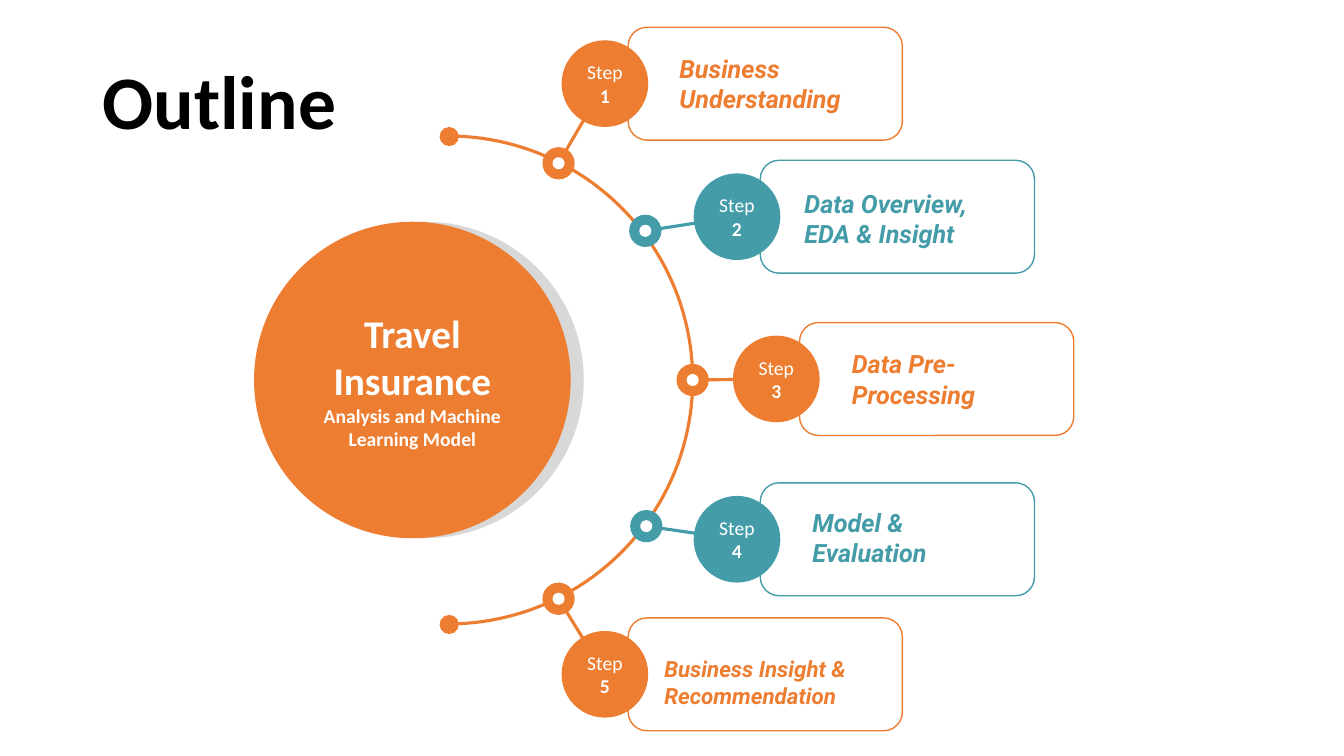
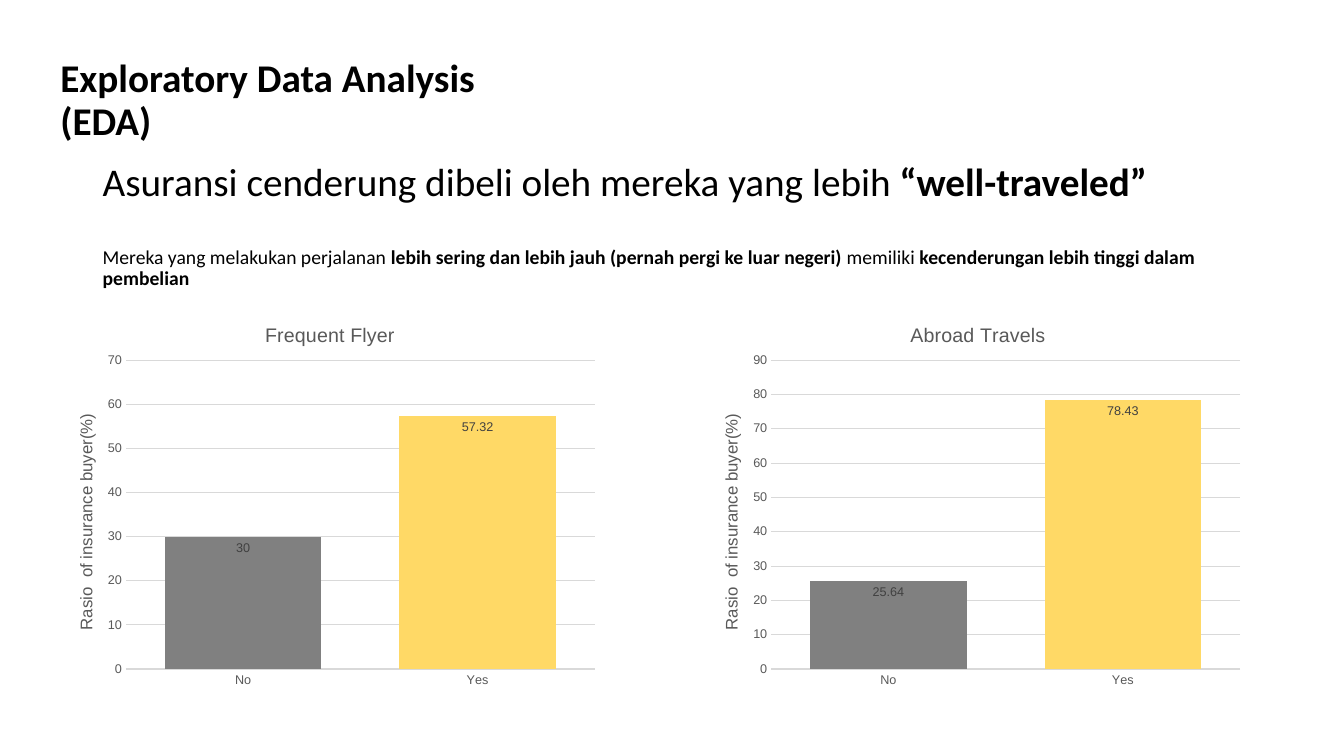
"""Build the outline slide and the exploratory data analysis slide."""
import math

from lxml import etree
from pptx import Presentation
from pptx.chart import data as chart_data
from pptx.dml import color
from pptx.enum import chart as ch, shapes, text
from pptx.oxml import ns
from pptx.util import Inches, Pt

ORANGE, TEAL, WHITE, BLACK = "ED7D31", "449CA8", "FFFFFF", "000000"
SHADE, GRID, LABEL, VALUE = "D8D8D8", "D9D9D9", "595959", "404040"
BAR_COLOURS = ["808080", "FFD966"]
ELLIPSE, ROUNDED = shapes.MSO_SHAPE.OVAL, shapes.MSO_SHAPE.ROUNDED_RECTANGLE
MIDDLE, TOP = text.MSO_ANCHOR.MIDDLE, text.MSO_ANCHOR.TOP
LEFT, CENTER = text.PP_ALIGN.LEFT, text.PP_ALIGN.CENTER
rgb = color.RGBColor.from_string


def add_figure(slide, kind, x, y, w, h, fill=None, line=None):
    figure = slide.shapes.add_shape(kind, Inches(x), Inches(y), Inches(w), Inches(h))
    figure.shadow.inherit = False
    if fill:
        figure.fill.solid()
        figure.fill.fore_color.rgb = rgb(fill)
    else:
        figure.fill.background()
    if line:
        figure.line.color.rgb = rgb(line)
        figure.line.width = Pt(1)
    else:
        figure.line.fill.background()
    return figure


def write(frame, paragraphs, colour, font="Calibri", italic=False,
          align=LEFT, anchor=MIDDLE, spacing=1.0):
    frame.word_wrap = True
    frame.vertical_anchor = anchor
    for index, pieces in enumerate(paragraphs):
        paragraph = frame.add_paragraph() if index else frame.paragraphs[0]
        paragraph.alignment = align
        paragraph.line_spacing = spacing
        for wording, size, bold in pieces:
            run = paragraph.add_run()
            run.text = wording
            run.font.name = font
            run.font.size = Pt(size)
            run.font.bold = bold
            run.font.italic = italic
            run.font.color.rgb = rgb(colour)


deck = Presentation()
deck.slide_width, deck.slide_height = Inches(13.33), Inches(7.5)
outline, analysis = [deck.slides.add_slide(deck.slide_layouts[6]) for _ in range(2)]

add_figure(outline, ELLIPSE, 2.65, 2.2, 3.14, 3.14, SHADE)
topic = add_figure(outline, ELLIPSE, 2.52, 2.2, 3.14, 3.14, ORANGE)
write(topic.text_frame,
      [[("Travel Insurance", 28, True)],
       [("Analysis and Machine Learning Model", 14, True)]],
      WHITE, align=CENTER)

arc_x, arc_y, radius = 4.45, 3.77, 2.42
arc_points = [(Inches(arc_x + radius * math.cos(math.radians(angle))),
               Inches(arc_y + radius * math.sin(math.radians(angle))))
              for angle in range(-90, 91, 2)]
pen = outline.shapes.build_freeform(*arc_points[0])
pen.add_line_segments(arc_points[1:], close=False)
arc = pen.convert_to_shape()
arc.shadow.inherit = False
arc.fill.background()
arc.line.color.rgb = rgb(ORANGE)
arc.line.width = Pt(2.25)
for end_y in (arc_y - radius, arc_y + radius):
    add_figure(outline, ELLIPSE, 4.36, end_y - 0.09, 0.19, 0.19, ORANGE)

steps = [
    ("Business Understanding", 18, ORANGE, (6.23, 0.27), (5.54, 1.62), (6.64, 0.48, 2.16)),
    ("Data Overview, EDA & Insight", 18, TEAL, (7.54, 1.59), (6.4, 2.29), (7.88, 1.82, 2.23)),
    ("Data Pre-Processing", 18, ORANGE, (7.93, 3.2), (6.87, 3.77), (8.35, 3.41, 1.84)),
    ("Model & Evaluation", 18, TEAL, (7.54, 4.79), (6.41, 5.22), (7.96, 4.98, 1.84)),
    ("Business Insight & Recommendation", 16, ORANGE, (6.23, 6.13), (5.54, 5.94),
     (6.49, 6.45, 2.28)),
]
badge_size = 0.86
for number, (name, size, colour, box, node, label) in enumerate(steps, 1):
    badge_x, badge_y = box[0] - 0.66, box[1] + 0.13
    add_figure(outline, ROUNDED, *box, 2.72, 1.12, line=colour)
    link = outline.shapes.add_connector(
        shapes.MSO_CONNECTOR.STRAIGHT, Inches(node[0]), Inches(node[1]),
        Inches(badge_x + badge_size / 2), Inches(badge_y + badge_size / 2))
    link.line.color.rgb = rgb(colour)
    link.line.width = Pt(2.25)
    etree.SubElement(link.element.spPr, ns.qn("a:effectLst"))
    for diameter, fill in ((0.32, colour), (0.12, WHITE)):
        add_figure(outline, ELLIPSE, node[0] - diameter / 2, node[1] - diameter / 2,
                   diameter, diameter, fill)
    badge = add_figure(outline, ELLIPSE, badge_x, badge_y, badge_size, badge_size, colour)
    write(badge.text_frame, [[("Step", 14, False), (f" {number}", 14, True)]],
          WHITE, align=CENTER)
    caption = outline.shapes.add_textbox(*map(Inches, label), Inches(0.71))
    write(caption.text_frame, [[(name, size, True)]], colour, "Roboto", True, anchor=TOP)

headings = [
    (outline, (0.92, 0.51, 6.24, 1.07), [[("Outline", 54, True)]]),
    (analysis, (0.5, 0.28, 5.28, 1.45), [[("Exploratory Data Analysis (EDA)", 28, True)]]),
    (analysis, (0.92, 1.52, 11.5, 1.45), [
        [("Asuransi cenderung dibeli oleh mereka yang lebih ", 28, False),
         ("“well-traveled”", 28, True)],
        [("Mereka yang melakukan perjalanan ", 14, False),
         ("lebih sering dan lebih jauh (pernah pergi ke luar negeri)", 14, True),
         (" memiliki ", 14, False),
         ("kecenderungan lebih tinggi dalam pembelian", 14, True)]]),
]
for slide, place, paragraphs in headings:
    heading = slide.shapes.add_textbox(*map(Inches, place))
    write(heading.text_frame, paragraphs, BLACK, spacing=0.9)
    for paragraph in heading.text_frame.paragraphs[1:]:
        paragraph.space_before = Pt(30)

comparisons = [("Frequent Flyer", 0.5, (30, 57.32), 70),
               ("Abroad Travels", 6.9, (25.64, 78.43), 90)]
for name, chart_x, ratios, top_value in comparisons:
    ratio_data = chart_data.CategoryChartData()
    ratio_data.categories = ["No", "Yes"]
    ratio_data.add_series("Series 1", ratios)
    chart = analysis.shapes.add_chart(
        ch.XL_CHART_TYPE.COLUMN_CLUSTERED, Inches(chart_x), Inches(2.97),
        Inches(5.51), Inches(3.94), ratio_data).chart
    chart.has_legend = False
    chart.has_title = True
    chart.font.name = "Arial"
    chart.font.size = Pt(10)

    buyers, answers = chart.value_axis, chart.category_axis
    buyers.minimum_scale, buyers.maximum_scale, buyers.major_unit = 0, top_value, 10
    buyers.major_gridlines.format.line.color.rgb = rgb(GRID)
    buyers.major_gridlines.format.line.width = Pt(0.75)
    buyers.format.line.fill.background()
    answers.format.line.color.rgb = rgb(GRID)
    answers.format.line.width = Pt(0.75)
    for axis in (buyers, answers):
        axis.major_tick_mark = ch.XL_TICK_MARK.NONE
        axis.tick_labels.font.size = Pt(9)
        axis.tick_labels.font.color.rgb = rgb(LABEL)

    for title, wording, size in ((chart.chart_title, name, 14),
                                 (buyers.axis_title, "Rasio  of insurance buyer(%)", 12)):
        title.text_frame.text = wording
        font = title.text_frame.paragraphs[0].runs[0].font
        font.name, font.size, font.bold = "Arial", Pt(size), False
        font.color.rgb = rgb(LABEL)

    plot = chart.plots[0]
    plot.gap_width, plot.overlap, plot.vary_by_categories = 50, -27, False
    for index, bar_colour in enumerate(BAR_COLOURS):
        bar = plot.series[0].points[index].format.fill
        bar.solid()
        bar.fore_color.rgb = rgb(bar_colour)
    plot.has_data_labels = True
    plot.data_labels.show_value = True
    plot.data_labels.position = ch.XL_LABEL_POSITION.INSIDE_END
    plot.data_labels.font.size = Pt(9)
    plot.data_labels.font.color.rgb = rgb(VALUE)

    plot_area = chart.element.xpath("c:chart/c:plotArea")[0]
    layouts = [
        (chart.chart_title.element, 1, {"x": 0.38, "y": 0.05}),
        (buyers.axis_title.element, 1, {"x": 0.04, "y": 0.28}),
        (plot_area, 0, {"layoutTarget": "inner", "xMode": "edge", "yMode": "edge",
                        "x": 0.136, "y": 0.153, "w": 0.844, "h": 0.778}),
    ]
    for owner, position, settings in layouts:
        for old in owner.findall(ns.qn("c:layout")):
            owner.remove(old)
        layout = etree.Element(ns.qn("c:layout"))
        manual = etree.SubElement(layout, ns.qn("c:manualLayout"))
        for key, value in ({"xMode": "edge", "yMode": "edge"} | settings).items() \
                if position else settings.items():
            etree.SubElement(manual, ns.qn(f"c:{key}")).set("val", str(value))
        owner.insert(position, layout)

deck.save("out.pptx")
